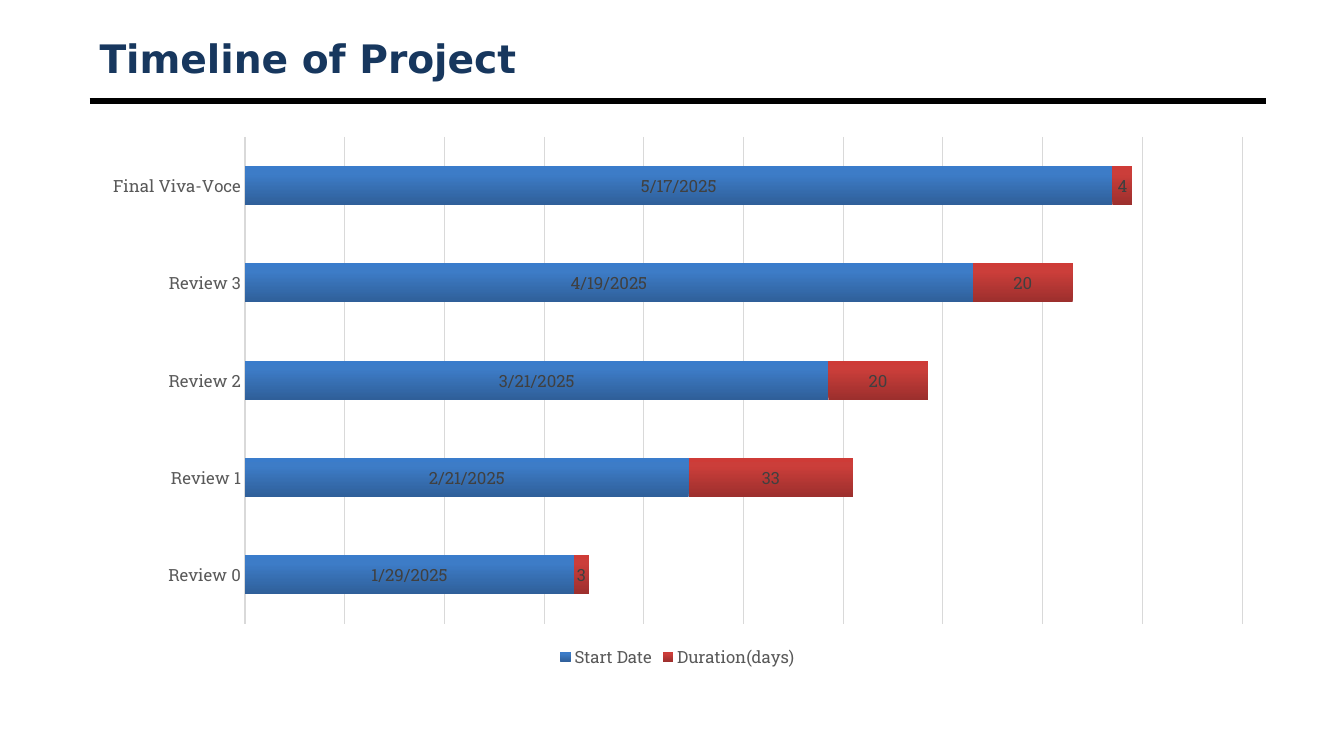
from lxml.etree import SubElement
from pptx import Presentation
from pptx.chart.data import CategoryChartData
from pptx.dml.color import RGBColor
from pptx.enum.chart import XL_CHART_TYPE, XL_LABEL_POSITION, XL_LEGEND_POSITION, XL_TICK_MARK
from pptx.enum.shapes import MSO_CONNECTOR
from pptx.enum.text import MSO_ANCHOR
from pptx.oxml.ns import qn
from pptx.util import Pt

TITLE_FONT = "DejaVu Sans"
CHART_FONT = "Roboto Slab"
DATE_FORMAT = "m/d/yyyy"

# Start dates are spreadsheet day numbers
MILESTONES = [
    ("Review 0", 45686, 3),
    ("Review 1", 45709, 33),
    ("Review 2", 45737, 20),
    ("Review 3", 45766, 20),
    ("Final Viva-Voce", 45794, 4),
]
FIRST_DAY, LAST_DAY, DAYS_PER_GRIDLINE = 45620, 45820, 20

START_GRADIENT = [(0, "2F5F99"), (80, "3D7CC7"), (100, "3A7CCB")]
DURATION_GRADIENT = [(0, "9C2F2D"), (80, "CB3E3A"), (100, "CE3B37")]


def color(hex_string):
    return RGBColor.from_string(hex_string)


def style_font(font, size, hex_string, name=CHART_FONT, bold=False):
    font.size = Pt(size)
    font.name = name
    font.bold = bold
    font.color.rgb = color(hex_string)


def style_line(line, hex_string, width):
    line.color.rgb = color(hex_string)
    line.width = Pt(width)


def fill_upward_gradient(series, stops):
    """Fill the bars with a gradient of any number of stops, from bottom to top."""
    properties = series._element.get_or_add_spPr()
    gradient = SubElement(properties, qn("a:gradFill"), rotWithShape="1")
    stop_list = SubElement(gradient, qn("a:gsLst"))
    for percent, hex_string in stops:
        stop = SubElement(stop_list, qn("a:gs"), pos=str(percent * 1000))
        SubElement(stop, qn("a:srgbClr"), val=hex_string)
    SubElement(gradient, qn("a:lin"), ang=str(270 * 60000), scaled="0")


def add_header(slide, left, top, width, height):
    """Place the title in the upper part of the box and a rule along its bottom."""
    title = slide.shapes.add_textbox(Pt(left), Pt(top), Pt(width), Pt(height - 12))
    frame = title.text_frame
    frame.word_wrap = True
    frame.vertical_anchor = MSO_ANCHOR.MIDDLE
    frame.text = "Timeline of Project"
    style_font(frame.paragraphs[0].runs[0].font, 28, "17375E", TITLE_FONT, bold=True)

    bottom = Pt(top + height)
    rule = slide.shapes.add_connector(
        MSO_CONNECTOR.STRAIGHT, Pt(left), bottom, Pt(left + width), bottom
    )
    style_line(rule.line, "000000", 4.5)
    SubElement(rule._element.spPr, qn("a:effectLst"))


def style_axes(chart):
    category_axis = chart.category_axis
    category_axis.major_tick_mark = XL_TICK_MARK.NONE
    category_axis.minor_tick_mark = XL_TICK_MARK.NONE
    style_font(category_axis.tick_labels.font, 12, "595959")
    style_line(category_axis.format.line, "D9D9D9", 1)

    value_axis = chart.value_axis
    value_axis.minimum_scale = FIRST_DAY
    value_axis.maximum_scale = LAST_DAY
    value_axis.major_unit = DAYS_PER_GRIDLINE
    value_axis.tick_labels.number_format = DATE_FORMAT
    value_axis.tick_labels.number_format_is_linked = False
    value_axis.has_major_gridlines = True
    style_line(value_axis.major_gridlines.format.line, "D9D9D9", 0.75)
    value_axis.visible = False


def style_series(series, gradient, number_format):
    fill_upward_gradient(series, gradient)
    series.invert_if_negative = False
    labels = series.data_labels
    labels.show_value = True
    labels.position = XL_LABEL_POSITION.CENTER
    labels.number_format = number_format
    labels.number_format_is_linked = False
    style_font(labels.font, 12, "404040")


def add_timeline(slide, left, top, width, height):
    names, starts, durations = zip(*MILESTONES)
    data = CategoryChartData()
    data.categories = names
    data.add_series("Start Date", starts, DATE_FORMAT)
    data.add_series("Duration(days)", durations, "General")
    chart = slide.shapes.add_chart(
        XL_CHART_TYPE.BAR_STACKED, Pt(left), Pt(top), Pt(width), Pt(height), data
    ).chart
    chart.has_title = False
    style_font(chart.font, 10, "000000")
    style_axes(chart)

    plot = chart.plots[0]
    plot.gap_width = 150
    plot.overlap = 100
    plot.vary_by_categories = False
    start_series, duration_series = plot.series
    style_series(start_series, START_GRADIENT, DATE_FORMAT)
    style_series(duration_series, DURATION_GRADIENT, "General")

    chart.has_legend = True
    chart.legend.position = XL_LEGEND_POSITION.BOTTOM
    chart.legend.include_in_layout = False
    style_font(chart.legend.font, 12, "595959")


def main():
    presentation = Presentation()
    presentation.slide_width = Pt(960)
    presentation.slide_height = Pt(540)
    slide = presentation.slides.add_slide(presentation.slide_layouts[6])
    add_header(slide, left=64, top=22, width=840, height=50)
    add_timeline(slide, left=64, top=90, width=840, height=390)
    presentation.save("out.pptx")


if __name__ == "__main__":
    main()
